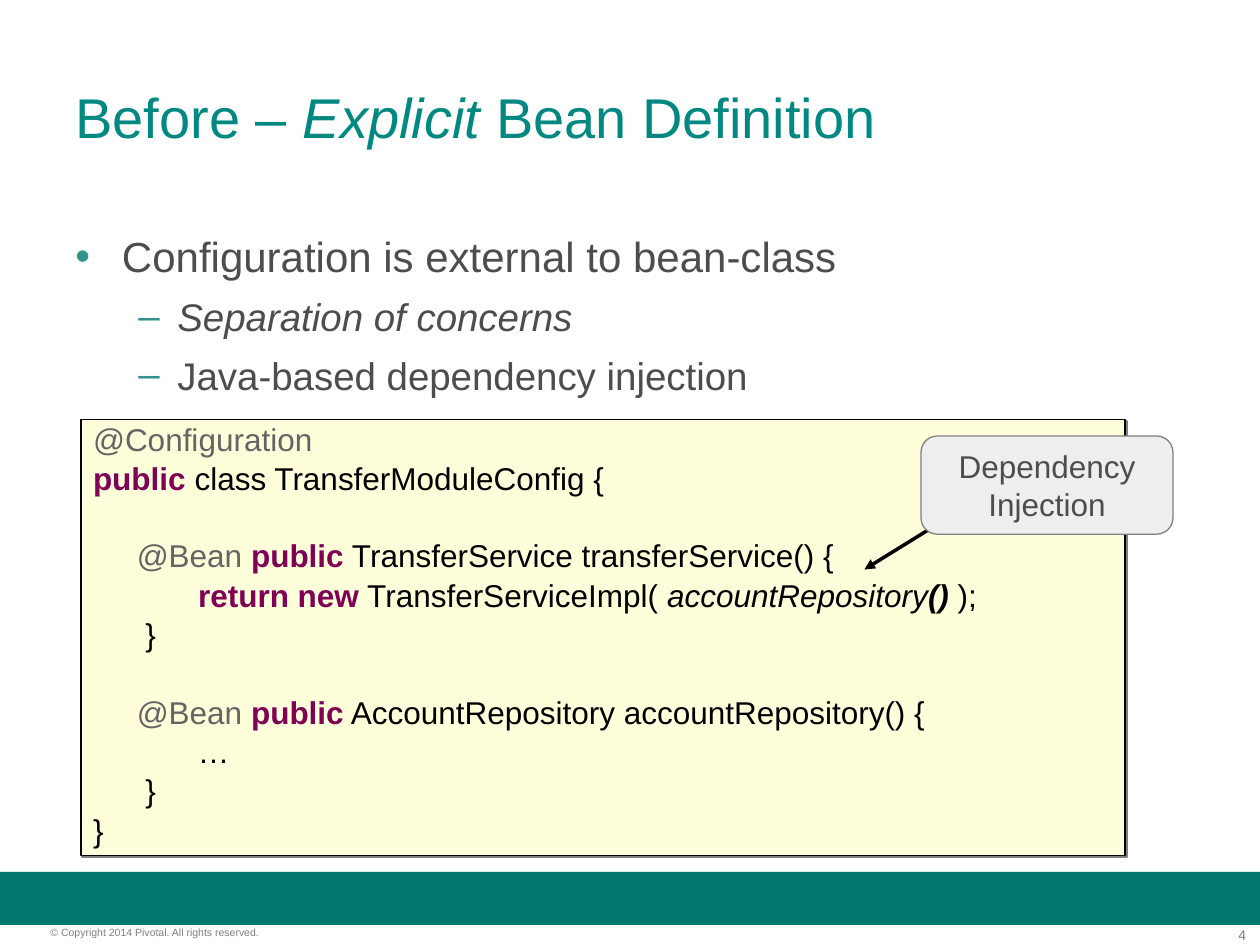
"""Build the slide on explicit bean definition with its annotated code panel."""
from dataclasses import dataclass

from lxml import etree
from pptx import Presentation
from pptx.dml.color import RGBColor
from pptx.enum.shapes import MSO_CONNECTOR, MSO_SHAPE
from pptx.enum.text import MSO_ANCHOR, PP_ALIGN
from pptx.oxml.ns import qn
from pptx.util import Inches, Pt

RECTANGLE, ROUNDED = MSO_SHAPE.RECTANGLE, MSO_SHAPE.ROUNDED_RECTANGLE
STRAIGHT = MSO_CONNECTOR.STRAIGHT
TOP, MIDDLE = MSO_ANCHOR.TOP, MSO_ANCHOR.MIDDLE
LEFT, CENTER, RIGHT = PP_ALIGN.LEFT, PP_ALIGN.CENTER, PP_ALIGN.RIGHT

FONT = "Arial"
TEAL, TITLE_TEAL, BULLET_TEAL = "00786E", "008881", "33928A"
BLACK, WHITE, BODY_GREY, FOOTER_GREY = "000000", "FFFFFF", "4D4D4D", "7F7F7F"
ANNOTATION, KEYWORD = "646464", "7F0055"
CODE_SIZE, CODE_GAP, CODE_PITCH = 18, 5.2, 21.75


@dataclass(frozen=True)
class Run:
    """A stretch of text in one style."""

    text: str
    color: str = BLACK
    bold: bool = False
    italic: bool = False


@dataclass(frozen=True)
class Line:
    """One paragraph with its size, spacing and optional bullet."""

    runs: tuple[Run, ...]
    size: float
    before: float = 0
    spacing: float = 1.0
    align: PP_ALIGN = LEFT
    bullet: str = ""
    margin: float = 0
    hanging: float = 0


def rgb(color: str) -> RGBColor:
    """Turn a hex string into a colour."""
    return RGBColor.from_string(color)


def add_bullet(paragraph, line: Line) -> None:
    """Give a paragraph its hanging indent and coloured bullet."""
    properties = paragraph._p.get_or_add_pPr()
    properties.set("marL", str(Inches(line.margin)))
    properties.set("indent", str(-Inches(line.hanging)))
    color = etree.SubElement(properties, qn("a:buClr"))
    etree.SubElement(color, qn("a:srgbClr"), val=BULLET_TEAL)
    etree.SubElement(properties, qn("a:buFont"), typeface=FONT)
    etree.SubElement(properties, qn("a:buChar"), char=line.bullet)


def write_lines(shape, lines: list[Line], anchor: MSO_ANCHOR, inset: bool = True) -> None:
    """Fill a shape's text frame with styled paragraphs."""
    frame = shape.text_frame
    frame.word_wrap = True
    frame.vertical_anchor = anchor
    frame.margin_left = frame.margin_right = Inches(0.1 if inset else 0)
    frame.margin_top = frame.margin_bottom = Inches(0.05 if inset else 0)
    for index, line in enumerate(lines):
        paragraph = frame.add_paragraph() if index else frame.paragraphs[0]
        paragraph.alignment = line.align
        paragraph.line_spacing = line.spacing
        paragraph.space_before = Pt(line.before if index else 0)
        if line.bullet:
            add_bullet(paragraph, line)
        for part in line.runs:
            run = paragraph.add_run()
            run.text = part.text
            run.font.name = FONT
            run.font.size = Pt(line.size)
            run.font.bold = part.bold
            run.font.italic = part.italic
            run.font.color.rgb = rgb(part.color)


def add_text(slide, box: tuple, lines: list[Line], anchor: MSO_ANCHOR = TOP, inset: bool = True) -> None:
    """Place a text box."""
    shape = slide.shapes.add_textbox(*map(Inches, box))
    write_lines(shape, lines, anchor, inset)


def add_panel(slide, kind: MSO_SHAPE, box: tuple, fill: str, outline: str = "", width: float = 0):
    """Place a filled preset shape, outlined if a colour is given."""
    shape = slide.shapes.add_shape(kind, *map(Inches, box))
    shape.shadow.inherit = False
    shape.fill.solid()
    shape.fill.fore_color.rgb = rgb(fill)
    if outline:
        shape.line.color.rgb = rgb(outline)
        shape.line.width = Pt(width)
    else:
        shape.line.fill.background()
    return shape


def add_hard_shadow(shape) -> None:
    """Give a shape a thin unblurred shadow to the lower right."""
    effects = shape._element.spPr.find(qn("a:effectLst"))
    shadow = etree.SubElement(
        effects, qn("a:outerShdw"), blurRad="0", dist=str(Pt(1.4)), dir="2700000", algn="ctr", rotWithShape="0"
    )
    etree.SubElement(shadow, qn("a:srgbClr"), val="808080")


def add_arrow(slide, start: tuple, end: tuple) -> None:
    """Draw a hairline arrow."""
    arrow = slide.shapes.add_connector(STRAIGHT, *map(Inches, start + end))
    arrow.line.color.rgb = rgb(BLACK)
    arrow.line.width = Pt(0)
    etree.SubElement(arrow.line._get_or_add_ln(), qn("a:tailEnd"), type="triangle")
    etree.SubElement(arrow._element.spPr, qn("a:effectLst"))


def code(*runs: Run, gap: bool = False) -> Line:
    """Make a code line, with one empty line's height above it if gap is set."""
    return Line(runs, CODE_SIZE, CODE_GAP + gap * CODE_PITCH, 0.8)


def bean_method(signature: str) -> Line:
    """Make the opening line of a bean method."""
    return code(
        Run("     @Bean ", ANNOTATION), Run("public", KEYWORD, bold=True), Run(f" {signature} {{"), gap=True
    )


def sub_bullet(text: str, italic: bool = False) -> Line:
    """Make a second-level bullet."""
    return Line((Run(text, BODY_GREY, italic=italic),), 22, 7, bullet="–", margin=0.81, hanging=0.31)


def main() -> None:
    """Build and save the slide."""
    presentation = Presentation()
    presentation.slide_width, presentation.slide_height = Inches(10), Inches(7.5)
    slide = presentation.slides.add_slide(presentation.slide_layouts[6])
    slide.background.fill.solid()
    slide.background.fill.fore_color.rgb = rgb(WHITE)

    add_panel(slide, RECTANGLE, (0, 6.92, 10, 0.42), TEAL)
    add_text(slide, (9.31, 7.35, 0.58, 0.13), [Line((Run("4", FOOTER_GREY),), 8, align=RIGHT)], inset=False)
    notice = Run("© Copyright 2014 Pivotal. All rights reserved.", FOOTER_GREY)
    add_text(slide, (0.4, 7.35, 2.49, 0.1), [Line((notice,), 6)], inset=False)

    title = (
        Run("Before – ", TITLE_TEAL),
        Run("Explicit", TITLE_TEAL, italic=True),
        Run(" Bean Definition", TITLE_TEAL),
    )
    add_text(slide, (0.5, 0.3, 9, 1.25), [Line(title, 32)], MIDDLE)

    code_panel = add_panel(slide, RECTANGLE, (0.64, 3.33, 8.29, 3.46), "FEFFDA", BLACK, 1)
    add_hard_shadow(code_panel)
    method_end = code(Run("      }"))
    write_lines(code_panel, [
        code(Run("@Configuration", ANNOTATION)),
        code(Run("public", KEYWORD, bold=True), Run(" class TransferModuleConfig {")),
        bean_method("TransferService transferService()"),
        code(
            Run("            "),
            Run("return new", KEYWORD, bold=True),
            Run(" TransferServiceImpl( "),
            Run("accountRepository", italic=True),
            Run("() ", bold=True, italic=True),
            Run(");"),
        ),
        method_end,
        bean_method("AccountRepository accountRepository()"),
        code(Run("            …")),
        method_end,
        code(Run("}")),
    ], MIDDLE)

    topic = Run("Configuration is external to bean-class", BODY_GREY)
    add_text(slide, (0.5, 1.78, 9, 4.95), [
        Line((topic,), 24, bullet="•", margin=0.37, hanging=0.37),
        sub_bullet("Separation of concerns", italic=True),
        sub_bullet("Java-based dependency injection"),
    ])

    add_arrow(slide, (7.49, 4.13), (6.86, 4.52))
    callout = add_panel(slide, ROUNDED, (7.31, 3.46, 2, 0.78), "EEEEEE", "808080")
    write_lines(callout, [Line((Run("Dependency Injection", BODY_GREY),), 18, align=CENTER)], MIDDLE)
    presentation.save("out.pptx")


if __name__ == "__main__":
    main()
